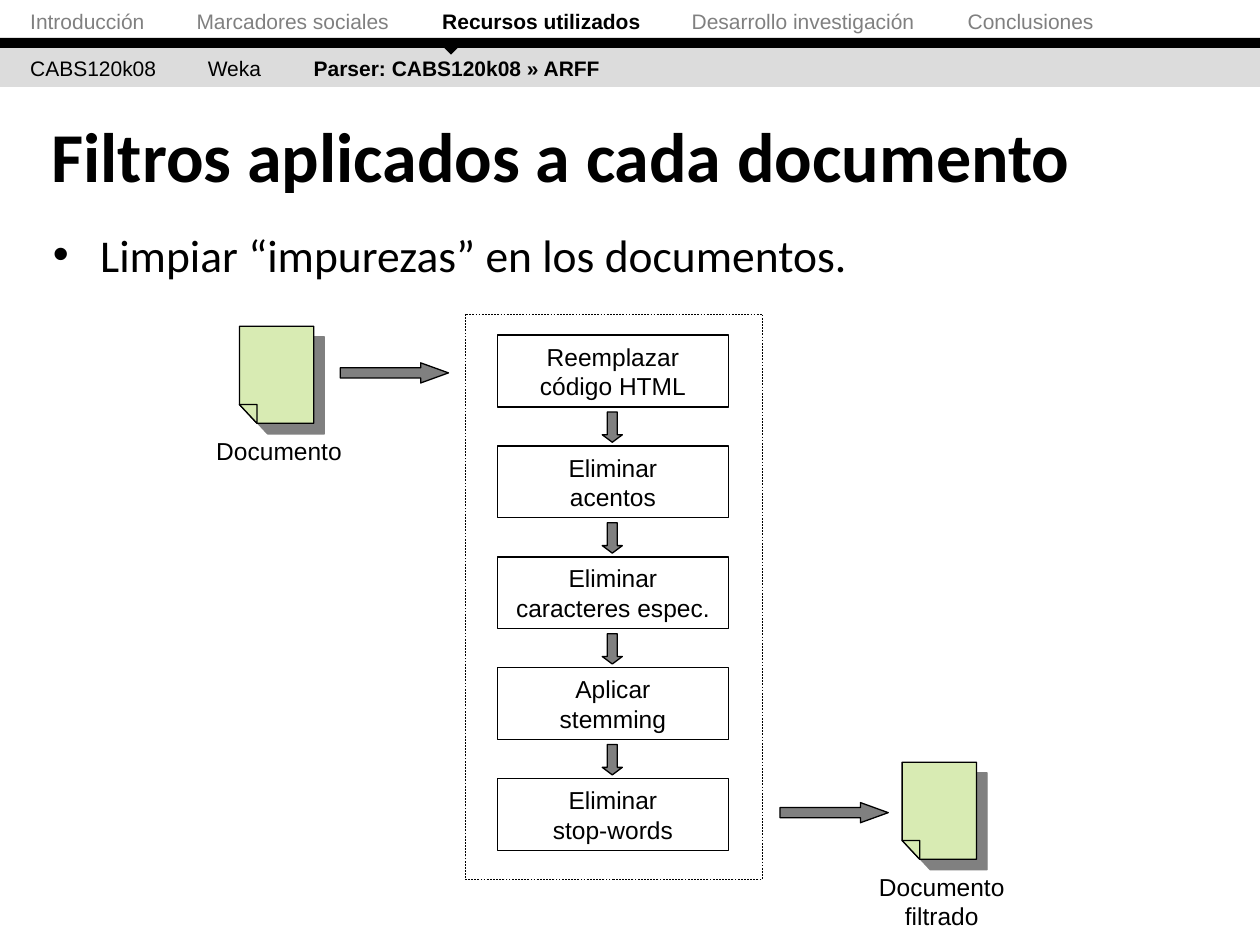
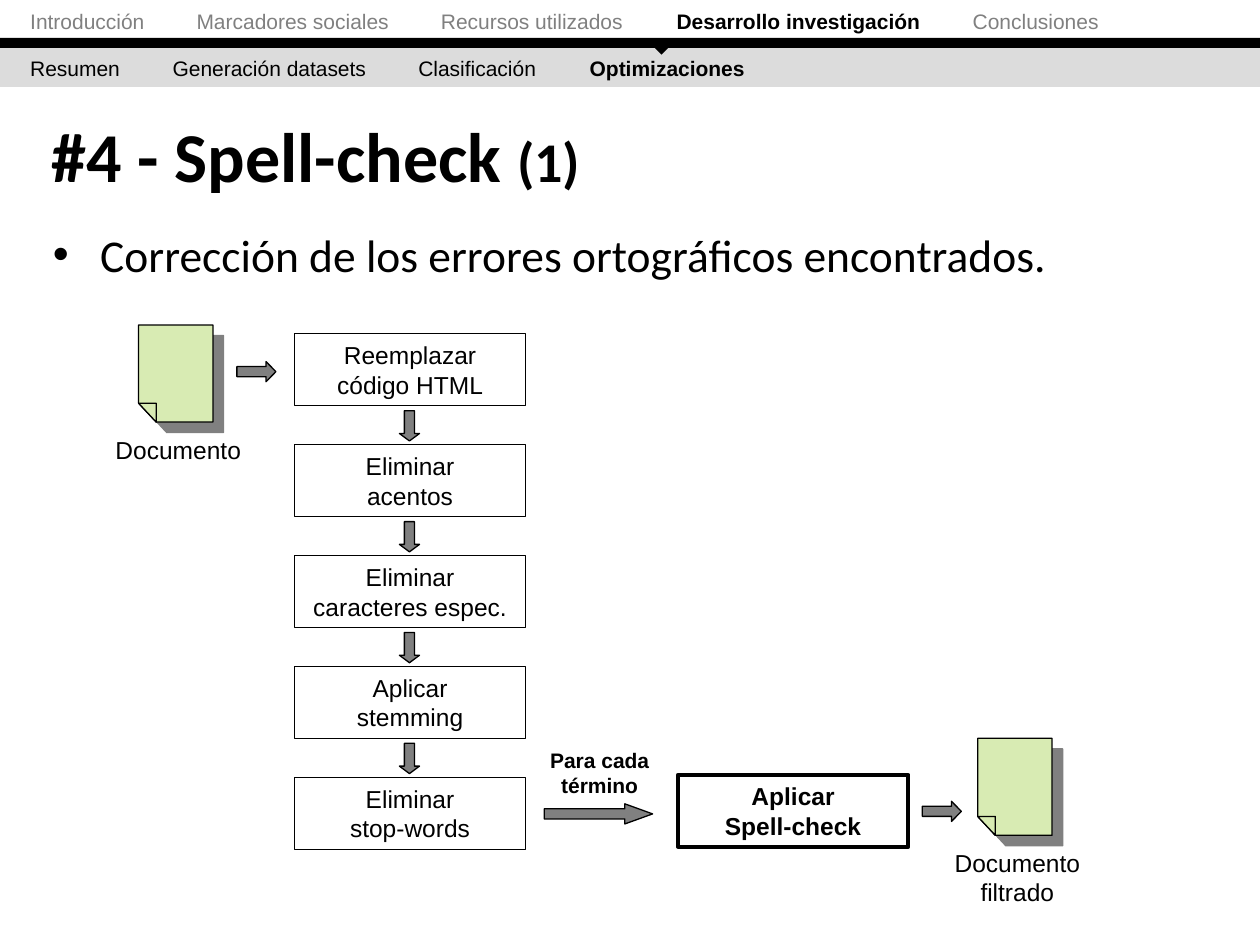
"""Build two slides on filtering documents, with a shared navigation header."""
import copy

import lxml.etree
import pptx
import pptx.dml.color
import pptx.enum.dml
import pptx.enum.shapes
import pptx.enum.text
import pptx.oxml.ns
import pptx.util

Inches = pptx.util.Inches
Pt = pptx.util.Pt
qn = pptx.oxml.ns.qn
SHAPE = pptx.enum.shapes.MSO_SHAPE
ALIGN = pptx.enum.text.PP_ALIGN
ANCHOR = pptx.enum.text.MSO_ANCHOR

BLACK, GRAY, BAND, PAPER = "000000", "808080", "DCDCDC", "D8EBB3"
NAV = {"name": "Arial", "size": Pt(12), "bold": False}
NAV_CURRENT = {**NAV, "bold": True}
LABEL = {"name": "Arial", "size": Pt(14), "bold": False}
LABEL_BOLD = {**LABEL, "bold": True}
TITLE = {"name": "Calibri", "size": Pt(40), "bold": True}
TITLE_PART = {**TITLE, "size": Pt(32)}
BODY = {"name": "Calibri", "size": Pt(26), "bold": False}

SECTIONS = ["Introducción", "Marcadores sociales", "Recursos utilizados",
            "Desarrollo investigación", "Conclusiones"]
FILTERS = ["Reemplazar código HTML", "Eliminar\nacentos", "Eliminar caracteres espec.",
           "Aplicar\nstemming", "Eliminar\nstop-words"]
BOX_WIDTH, BOX_HEIGHT, STEP = 1.83, 0.57, 0.88


def rgb(value):
    return pptx.dml.color.RGBColor.from_string(value)


def set_format(target, values):
    for name, value in values.items():
        setattr(target, name, value)


def add_span(para, text, style, color=BLACK):
    lines = text.split("\n")
    for number, line in enumerate(lines):
        if number:
            para.add_line_break()
            line_break = para._p.findall(qn("a:br"))[-1]
            line_break.insert(0, copy.deepcopy(para.runs[-1]._r.rPr))
        span = para.add_run()
        span.text = line
        set_format(span.font, style)
        span.font.color.rgb = rgb(color)


def paint(shape, fill=None, line=None, weight=0.75):
    shape.shadow.inherit = False
    if fill:
        shape.fill.solid()
        shape.fill.fore_color.rgb = rgb(fill)
    else:
        shape.fill.background()
    if line:
        shape.line.color.rgb = rgb(line)
        shape.line.width = Pt(weight)
    else:
        shape.line.fill.background()


def add_shape(page, kind, left, top, width, height, **look):
    shape = page.shapes.add_shape(kind, Inches(left), Inches(top), Inches(width), Inches(height))
    paint(shape, **look)
    return shape


def add_text(page, left, top, width, height):
    box = page.shapes.add_textbox(Inches(left), Inches(top), Inches(width), Inches(height))
    box.text_frame.word_wrap = True
    return box.text_frame


def add_label(page, text, left, top, width, height, style=LABEL):
    para = add_text(page, left, top, width, height).paragraphs[0]
    para.alignment = ALIGN.CENTER
    add_span(para, text, style)


def add_nav_row(page, top, labels, stops, current, color):
    frame = add_text(page, 0, top, 9.77, 0.3)
    frame.margin_left = Inches(0.24)
    para = frame.paragraphs[0]
    tabs = lxml.etree.SubElement(para._p.get_or_add_pPr(), qn("a:tabLst"))
    for stop in stops:
        lxml.etree.SubElement(tabs, qn("a:tab"), pos=str(Inches(stop)), algn="l")
    for number, label in enumerate(labels):
        lead = "\t" if number else ""
        if number == current:
            add_span(para, lead + label, NAV_CURRENT)
        else:
            add_span(para, lead + label, NAV, color)


def add_header(page, section, section_stops, topics, topic_stops, pointer):
    add_shape(page, SHAPE.RECTANGLE, 0, 0.37, 10, 0.32, fill=BAND)
    add_shape(page, SHAPE.RECTANGLE, 0, 0.3, 10, 0.08, fill=BLACK)
    add_nav_row(page, 0.02, SECTIONS, section_stops, section, GRAY)
    add_nav_row(page, 0.39, topics, topic_stops, len(topics) - 1, BLACK)
    marker = add_shape(page, SHAPE.RIGHT_TRIANGLE, pointer, 0.24, 0.16, 0.16, fill=BLACK)
    marker.rotation = 315


def fill_placeholder(holder, spans, left, top, width, height, anchor):
    set_format(holder, {"left": Inches(left), "top": Inches(top),
                        "width": Inches(width), "height": Inches(height)})
    set_format(holder.text_frame, {"auto_size": pptx.enum.text.MSO_AUTO_SIZE.NONE,
                                   "vertical_anchor": anchor, "word_wrap": True})
    para = holder.text_frame.paragraphs[0]
    set_format(para, {"alignment": ALIGN.LEFT, "space_before": Pt(0)})
    for text, style in spans:
        add_span(para, text, style)


def add_heading(page, title_spans, bullet):
    fill_placeholder(page.shapes.title, title_spans, 0.31, 0.86, 9.61, 0.74, ANCHOR.MIDDLE)
    fill_placeholder(page.placeholders[1], [(bullet, BODY)], 0.32, 1.75, 9.37, 5.67, ANCHOR.TOP)


def add_filter_box(page, text, left, top, style=LABEL, weight=0.75):
    box = add_shape(page, SHAPE.RECTANGLE, left, top, BOX_WIDTH, BOX_HEIGHT,
                    line=BLACK, weight=weight)
    box.text_frame.word_wrap = True
    para = box.text_frame.paragraphs[0]
    para.alignment = ALIGN.CENTER
    add_span(para, text, style)


def add_arrow(page, kind, left, top, width, height, head):
    arrow = add_shape(page, kind, left, top, width, height, fill=GRAY, line=BLACK)
    arrow.adjustments[1] = head


def add_long_arrow(page, left, top):
    add_arrow(page, SHAPE.RIGHT_ARROW, left, top, 0.86, 0.16, 1.38)


def add_short_arrow(page, left, top):
    add_arrow(page, SHAPE.RIGHT_ARROW, left, top, 0.31, 0.16, 0.49)


def add_filter_chain(page, left, top):
    for number, text in enumerate(FILTERS):
        box_top = top + number * STEP
        add_filter_box(page, text, left, box_top)
        if number < len(FILTERS) - 1:
            add_arrow(page, SHAPE.DOWN_ARROW, left + 0.83, box_top + 0.61, 0.16, 0.24, 0.37)


def add_outline(page, points):
    corners = [(Inches(x), Inches(y)) for x, y in points]
    builder = page.shapes.build_freeform(*corners[0])
    builder.add_line_segments(corners[1:], close=True)
    outline = builder.convert_to_shape()
    paint(outline, fill=PAPER, line=BLACK)
    return outline


def add_document(page, caption, left, top):
    right, bottom = left + 0.59, top + 0.77
    fold_x, fold_y = left + 0.14, bottom - 0.15
    sheet = add_outline(page, [(left, top), (right, top), (right, bottom),
                               (fold_x, bottom), (left, fold_y)])
    effects = sheet._element.spPr.find(qn("a:effectLst"))
    shadow = lxml.etree.SubElement(effects, qn("a:outerShdw"), dist=str(Pt(8.5)),
                                   dir="2700000", algn="ctr", rotWithShape="0")
    lxml.etree.SubElement(shadow, qn("a:srgbClr"), val=GRAY)
    add_outline(page, [(left, fold_y), (fold_x, fold_y), (fold_x, bottom)])
    add_label(page, caption, left - 0.35, top + 0.82, 1.33, 0.34 + 0.23 * caption.count("\n"))


def add_filters_slide(deck):
    page = deck.slides.add_slide(deck.slide_layouts[1])
    add_header(page, 2, [1.32, 3.27, 5.25, 7.44],
               ["CABS120k08", "Weka", "Parser: CABS120k08 » ARFF"], [1.41, 2.25], 3.5)
    add_heading(page, [("Filtros aplicados a cada documento", TITLE)],
                "Limpiar “impurezas” en los documentos.")
    add_filter_chain(page, 3.95, 2.66)
    add_long_arrow(page, 2.7, 2.88)
    add_long_arrow(page, 6.19, 6.37)
    add_document(page, "Documento", 1.9, 2.59)
    add_document(page, "Documento\nfiltrado", 7.16, 6.05)
    frame = add_shape(page, SHAPE.RECTANGLE, 3.69, 2.49, 2.36, 4.49, line=BLACK, weight=0.25)
    frame.line.dash_style = pptx.enum.dml.MSO_LINE.DASH


def add_spell_check_slide(deck):
    page = deck.slides.add_slide(deck.slide_layouts[1])
    add_header(page, 3, [1.32, 3.26, 5.13, 7.48],
               ["Resumen", "Generación datasets", "Clasificación", "Optimizaciones"],
               [1.13, 3.08, 4.44], 5.17)
    add_heading(page, [("#4 - Spell-check ", TITLE), ("(1)", TITLE_PART)],
                "Corrección de los errores ortográficos encontrados.")
    add_filter_chain(page, 2.34, 2.65)
    add_document(page, "Documento", 1.1, 2.58)
    add_document(page, "Documento\nfiltrado", 7.76, 5.86)
    add_filter_box(page, "Aplicar\nSpell-check", 5.38, 6.15, LABEL_BOLD, 2.25)
    add_short_arrow(page, 1.88, 2.87)
    add_short_arrow(page, 7.32, 6.36)
    add_label(page, "Para cada término", 4.08, 5.88, 1.36, 0.5, NAV_CURRENT)
    add_long_arrow(page, 4.32, 6.38)


def main():
    deck = pptx.Presentation()
    set_format(deck, {"slide_width": Inches(10), "slide_height": Inches(7.5)})
    add_filters_slide(deck)
    add_spell_check_slide(deck)
    deck.save("out.pptx")


if __name__ == "__main__":
    main()
